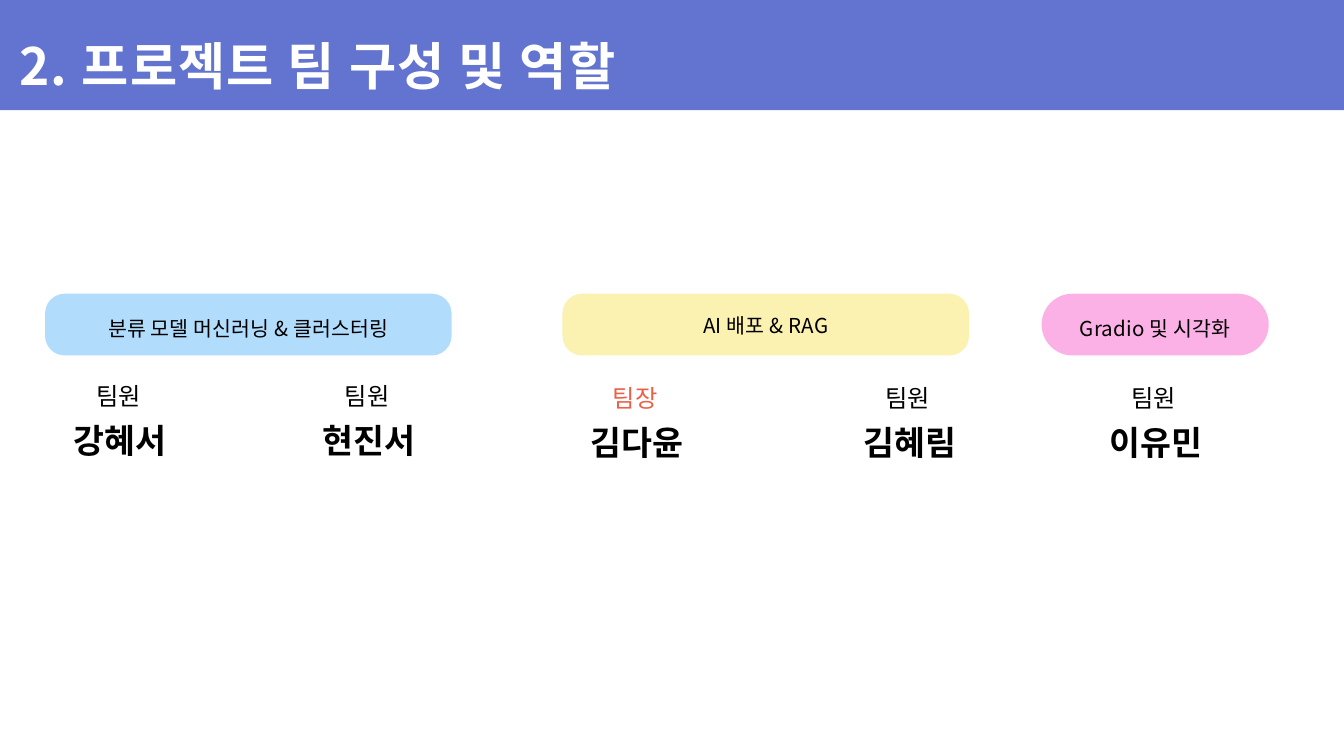
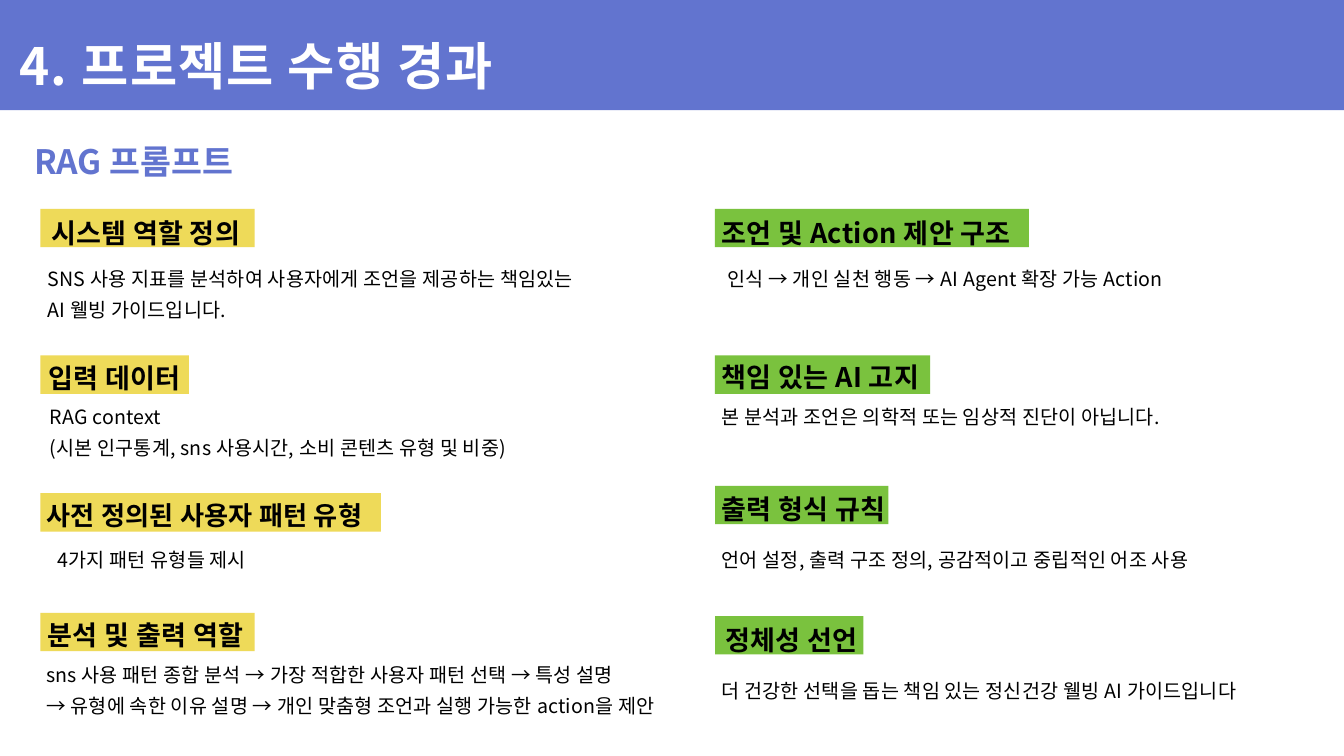
from lxml import etree
from pptx import Presentation
from pptx.dml.color import RGBColor
from pptx.enum.shapes import MSO_SHAPE
from pptx.enum.text import MSO_ANCHOR, PP_ALIGN
from pptx.oxml.ns import qn
from pptx.util import Inches, Pt

FONT = "Noto Sans CJK KR"
COLORS = {
    "band": "6274CF", "white": "FFFFFF", "black": "000000", "leader": "ED5F47",
    "blue": "B1DCFB", "cream": "FBF1B1", "pink": "FBB1E6",
    "yellow": "EDD747", "green": "6CBC2A",
}


def add_block(page, kind, left, top, width, height, color):
    block = page.shapes.add_shape(kind, Inches(left), Inches(top), Inches(width), Inches(height))
    block.shadow.inherit = False
    block.fill.solid()
    block.fill.fore_color.rgb = RGBColor.from_string(COLORS[color])
    block.line.fill.background()
    return block


def write(shape, text, size, line_height, color="black", bold=False, align=PP_ALIGN.LEFT,
          spacing=0, inset=0):
    frame = shape.text_frame
    frame.word_wrap = True
    frame.margin_left = frame.margin_right = Inches(inset)
    frame.margin_top = frame.margin_bottom = Inches(inset)
    frame.text = text
    for paragraph in frame.paragraphs:
        paragraph.alignment = align
        paragraph.line_spacing = Pt(line_height)
        for span in paragraph.runs:
            span.font.size = Pt(size)
            span.font.bold = bold
            span.font.name = FONT
            span.font.color.rgb = RGBColor.from_string(COLORS[color])
            properties = span.font._element
            properties.set("spc", str(round(spacing * 100)))
            etree.SubElement(properties, qn("a:ea")).set("typeface", FONT)


deck = Presentation()
deck.slide_width = Inches(20)
deck.slide_height = Inches(11.25)

pages = []
for title in ["2. 프로젝트 팀 구성 및 역할", "4. 프로젝트 수행 경과"]:
    page = deck.slides.add_slide(deck.slide_layouts[6])
    add_block(page, MSO_SHAPE.RECTANGLE, 0, 0, 20, 1.64, "band")
    box = page.shapes.add_textbox(Inches(0.29), Inches(-0.11), Inches(10.44), Inches(1.38))
    write(box, title, 55, 110, "white", True, spacing=1.3)
    pages.append(page)
team_page, prompt_page = pages

teams = [
    ("분류 모델 머신러닝 & 클러스터링", 0.67, 6.05, "blue", 0.32, 0, 5.65,
     [("팀원", "강혜서", 1.1), ("팀원", "현진서", 4.8)]),
    ("AI 배포 & RAG", 8.37, 6.05, "cream", 0.32, 0.1, 5.69,
     [("팀장", "김다윤", 8.79), ("팀원", "김혜림", 12.85)]),
    ("Gradio 및 시각화", 15.5, 3.38, "pink", 0.5, 0, 5.69,
     [("팀원", "이유민", 16.51)]),
]
for task, left, width, color, rounding, lift, role_top, members in teams:
    pill = add_block(team_page, MSO_SHAPE.ROUNDED_RECTANGLE, left, 4.37, width, 0.92, color)
    pill.adjustments[0] = rounding
    write(pill, task, 22, 35, align=PP_ALIGN.CENTER, spacing=0.2, inset=0.06)
    pill.text_frame.vertical_anchor = MSO_ANCHOR.MIDDLE
    pill.text_frame.margin_bottom = Inches(0.06 + lift)
    for role, name, name_left in members:
        box = team_page.shapes.add_textbox(
            Inches(name_left + 0.33), Inches(role_top), Inches(0.77), Inches(0.44))
        write(box, role, 26, 32.5, "leader" if role == "팀장" else "black")
        box = team_page.shapes.add_textbox(
            Inches(name_left), Inches(role_top + 0.57), Inches(1.47), Inches(0.62))
        write(box, name, 36, 45, bold=True)

box = prompt_page.shapes.add_textbox(Inches(0.51), Inches(2.07), Inches(8.83), Inches(0.62))
write(box, "RAG 프롬프트", 36, 45, "band", True)

columns = [
    ("yellow", 0.6, [
        ("시스템 역할 정의", 29, 0.76, 3.06, 3.11, 3.19,
         "SNS 사용 지표를 분석하여 사용자에게 조언을 제공하는 책임있는\nAI 웰빙 가이드입니다.",
         0.71, 3.86, 8.33, PP_ALIGN.JUSTIFY),
        ("입력 데이터", 29, 0.72, 5.22, 5.29, 2.21,
         "RAG context\n(시본 인구통계, sns 사용시간, 소비 콘텐츠 유형 및 비중)",
         0.74, 5.91, 8.13, PP_ALIGN.JUSTIFY),
        ("사전 정의된 사용자 패턴 유형", 28, 0.69, 7.28, 7.34, 5.07,
         "4가지 패턴 유형들 제시", 0.74, 8.04, 3.04, PP_ALIGN.CENTER),
        ("분석 및 출력 역할", 29, 0.71, 9.05, 9.12, 3.19,
         "sns 사용 패턴 종합 분석 → 가장 적합한 사용자 패턴 선택 → 특성 설명\n"
         "→ 유형에 속한 이유 설명 → 개인 맞춤형 조언과 실행 가능한 action을 제안",
         0.69, 9.75, 9.65, PP_ALIGN.JUSTIFY),
    ]),
    ("green", 10.64, [
        ("조언 및 Action 제안 구조", 29, 10.74, 3.06, 3.11, 4.67,
         "인식 → 개인 실천 행동 → AI Agent 확장 가능 Action",
         10.64, 3.86, 6.85, PP_ALIGN.CENTER),
        ("책임 있는 AI 고지", 29, 10.74, 5.21, 5.29, 3.2,
         "본 분석과 조언은 의학적 또는 임상적 진단이 아닙니다.",
         10.74, 5.91, 7.33, PP_ALIGN.JUSTIFY),
        ("출력 형식 규칙", 29, 10.74, 7.17, 7.23, 2.58,
         "언어 설정, 출력 구조 정의, 공감적이고 중립적인 어조 사용",
         10.74, 8.04, 7.81, PP_ALIGN.JUSTIFY),
        ("정체성 선언", 29, 10.79, 9.12, 9.17, 2.21,
         "더 건강한 선택을 돕는 책임 있는 정신건강 웰빙 AI 가이드입니다",
         10.74, 9.99, 9.04, PP_ALIGN.JUSTIFY),
    ]),
]
for color, marker_left, sections in columns:
    for (heading, size, heading_left, heading_top, marker_top, marker_width,
         body, body_left, body_top, body_width, align) in sections:
        marker = add_block(prompt_page, MSO_SHAPE.RECTANGLE, marker_left, marker_top,
                           marker_width, 0.57, color)
        fill_color = marker._element.spPr.find(qn("a:solidFill")).find(qn("a:srgbClr"))
        etree.SubElement(fill_color, qn("a:alpha")).set("val", "90000")
        box = prompt_page.shapes.add_textbox(
            Inches(heading_left), Inches(heading_top), Inches(marker_width + 0.1), Inches(0.59))
        write(box, heading, size, 46.1 if size == 29 else 44.5, bold=True,
              align=PP_ALIGN.JUSTIFY, spacing=0.3)
        body_height = 0.43 + 0.46 * body.count("\n")
        box = prompt_page.shapes.add_textbox(
            Inches(body_left), Inches(body_top), Inches(body_width), Inches(body_height))
        write(box, body, 21, 33.4, align=align, spacing=0.2)

deck.save("out.pptx")
